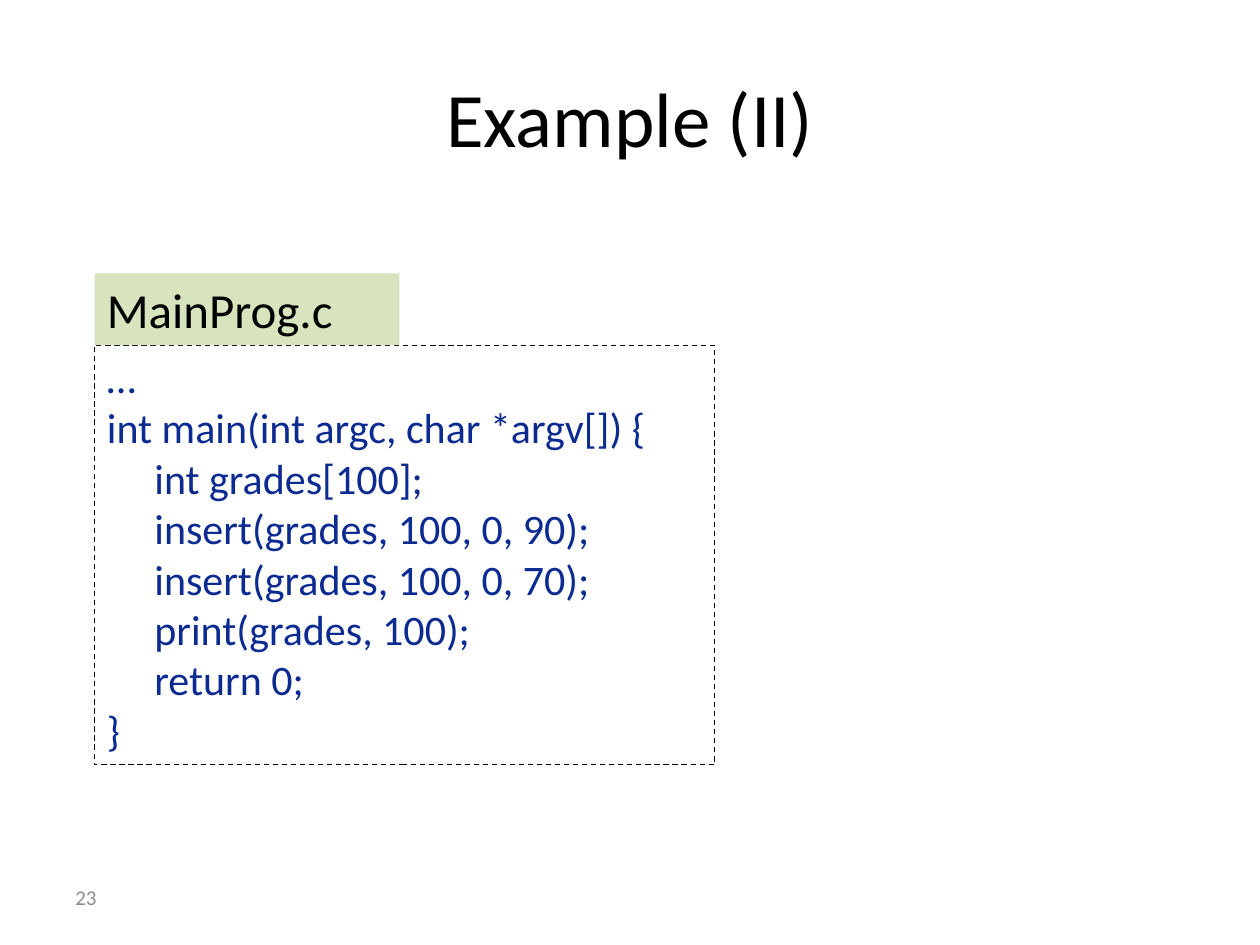
from dataclasses import dataclass

from pptx import Presentation
from pptx.dml.color import RGBColor as RGB
from pptx.enum.dml import MSO_LINE_DASH_STYLE as Dash
from pptx.enum.shapes import MSO_SHAPE as Shape
from pptx.enum.text import MSO_ANCHOR as Anchor, PP_ALIGN as Align
from pptx.util import Inches, Pt


@dataclass(frozen=True)
class Theme:
    font: str = "Calibri"
    ink: RGB = RGB(0x00, 0x00, 0x00)
    code: RGB = RGB(0x0B, 0x2B, 0x91)
    muted: RGB = RGB(0x8C, 0x8C, 0x8C)
    tab: RGB = RGB(0xD7, 0xE4, 0xBD)
    title_size: int = 44
    tab_size: int = 28
    code_size: int = 24
    number_size: int = 12


THEME = Theme()
WIDTH, HEIGHT = 10, 7.5
MARGIN = 0.05 * WIDTH
CODE_LEFT = 0.075 * WIDTH
TAB_TOP, TAB_HEIGHT = 2.17, 0.57

CODE = """…
int main(int argc, char *argv[]) {
     int grades[100];
     insert(grades, 100, 0, 90);
     insert(grades, 100, 0, 70);
     print(grades, 100);
     return 0;
}"""


def write(s, text, size, color, align=Align.LEFT, anchor=Anchor.TOP):
    """Fill a shape with one paragraph per line of text."""
    tf = s.text_frame
    tf.word_wrap = True
    tf.vertical_anchor = anchor
    for i, line in enumerate(text.split("\n")):
        p = tf.add_paragraph() if i else tf.paragraphs[0]
        p.alignment = align
        r = p.add_run()
        r.text = line
        r.font.name = THEME.font
        r.font.size = Pt(size)
        r.font.color.rgb = color


def add_label(slide, box, text, size, color, align=Align.LEFT):
    s = slide.shapes.add_textbox(*map(Inches, box))
    write(s, text, size, color, align, Anchor.MIDDLE)


def add_panel(slide, box, text, size, color, fill=None, outline=None):
    """Add a rectangle of text, with an optional fill and dashed outline."""
    s = slide.shapes.add_shape(Shape.RECTANGLE, *map(Inches, box))
    s.shadow.inherit = False
    if fill is None:
        s.fill.background()
    else:
        s.fill.solid()
        s.fill.fore_color.rgb = fill
    if outline is None:
        s.line.fill.background()
    else:
        s.line.color.rgb = outline
        s.line.width = Pt(0.75)
        s.line.dash_style = Dash.DASH
    write(s, text, size, color)


def main():
    prs = Presentation()
    prs.slide_width, prs.slide_height = Inches(WIDTH), Inches(HEIGHT)
    slide = prs.slides.add_slide(prs.slide_layouts[6])

    add_label(slide, (MARGIN, 0.04 * HEIGHT, WIDTH - 2 * MARGIN, HEIGHT / 6),
              "Example (II)", THEME.title_size, THEME.ink, Align.CENTER)
    add_label(slide, (MARGIN, 6.92, 2.33, 0.4),
              "23", THEME.number_size, THEME.muted)
    add_panel(slide, (CODE_LEFT, TAB_TOP + TAB_HEIGHT, 4.92, 3.33),
              CODE, THEME.code_size, THEME.code, outline=THEME.ink)
    add_panel(slide, (CODE_LEFT, TAB_TOP, 2.42, TAB_HEIGHT),
              "MainProg.c", THEME.tab_size, THEME.ink, fill=THEME.tab)

    prs.save("out.pptx")


if __name__ == "__main__":
    main()
